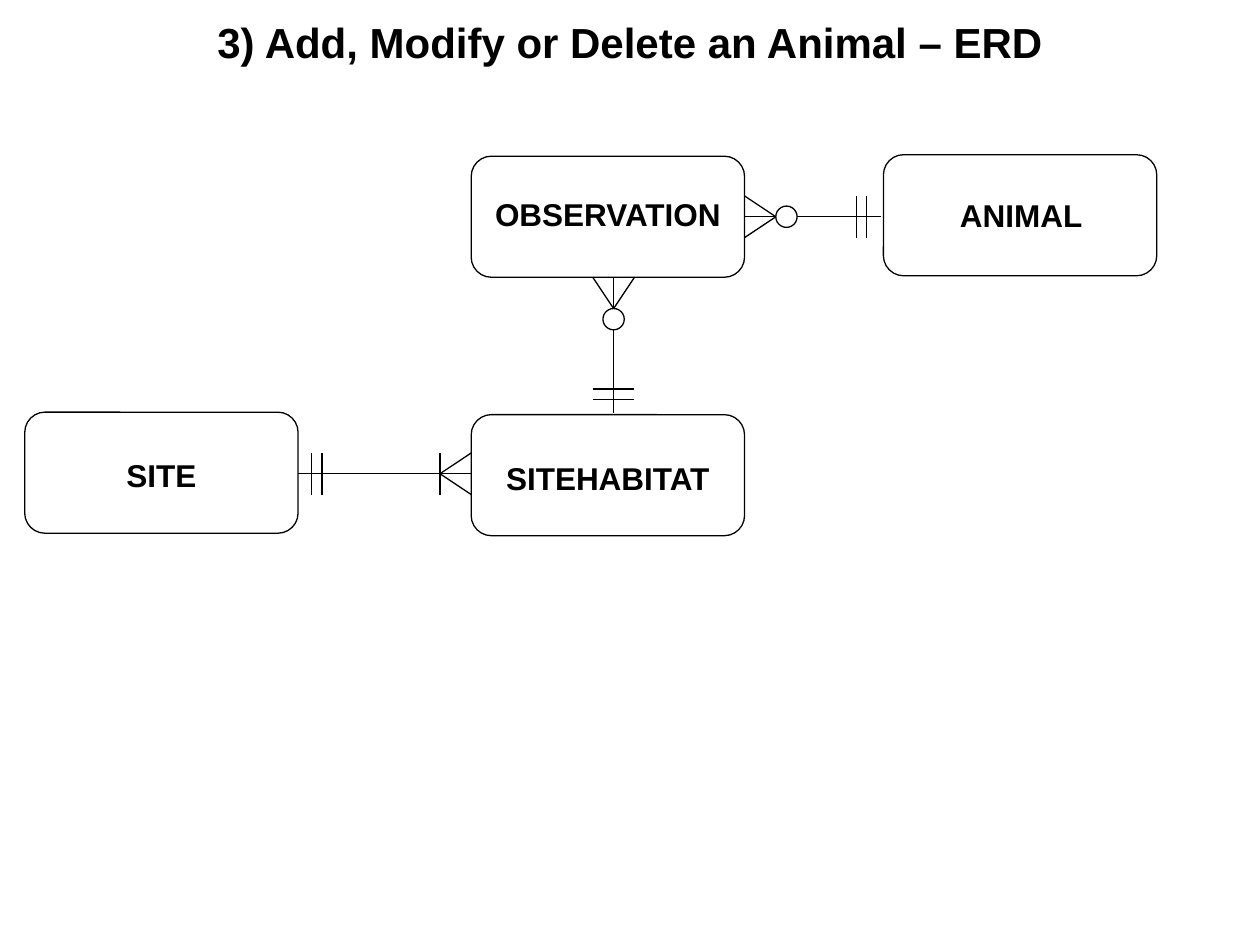
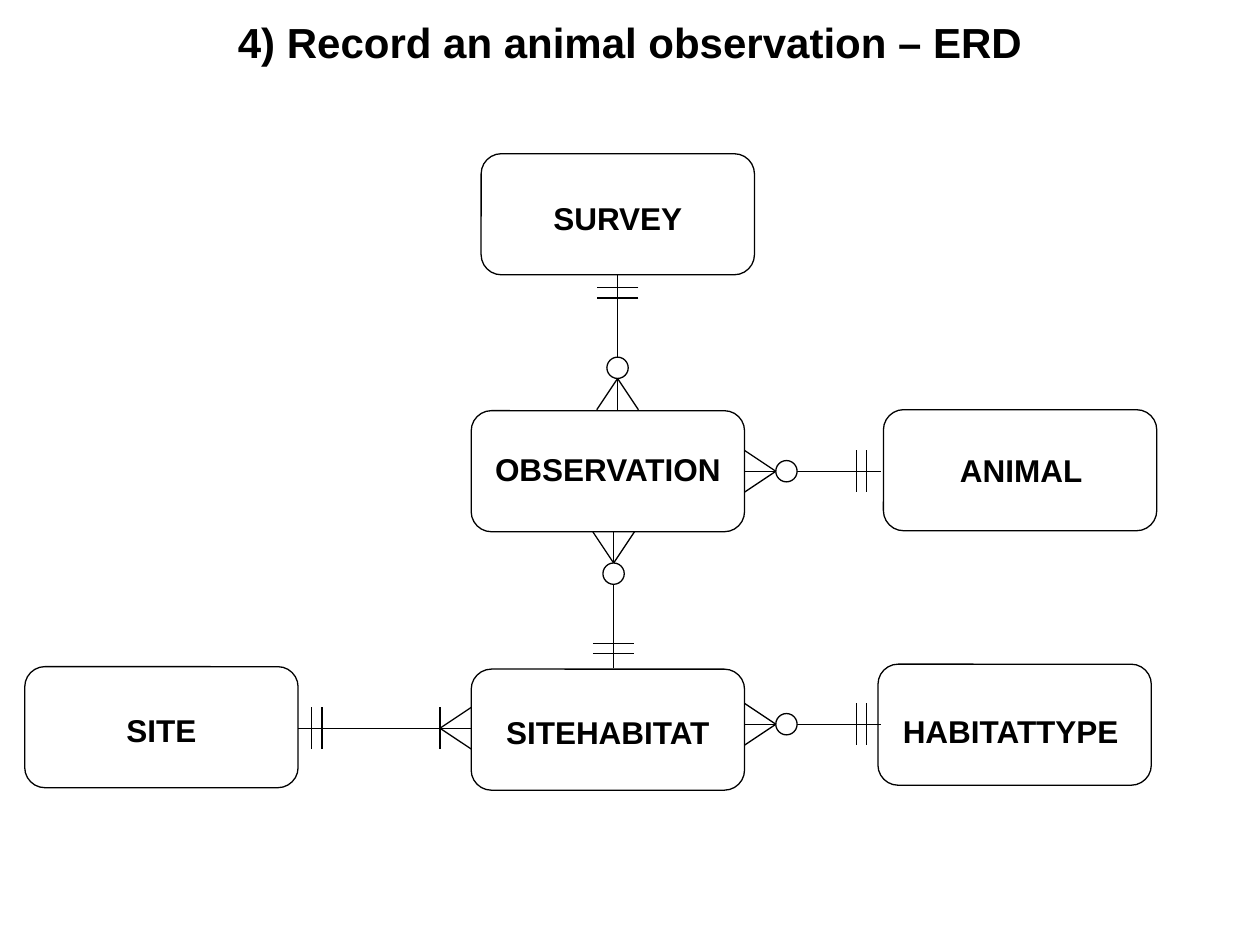
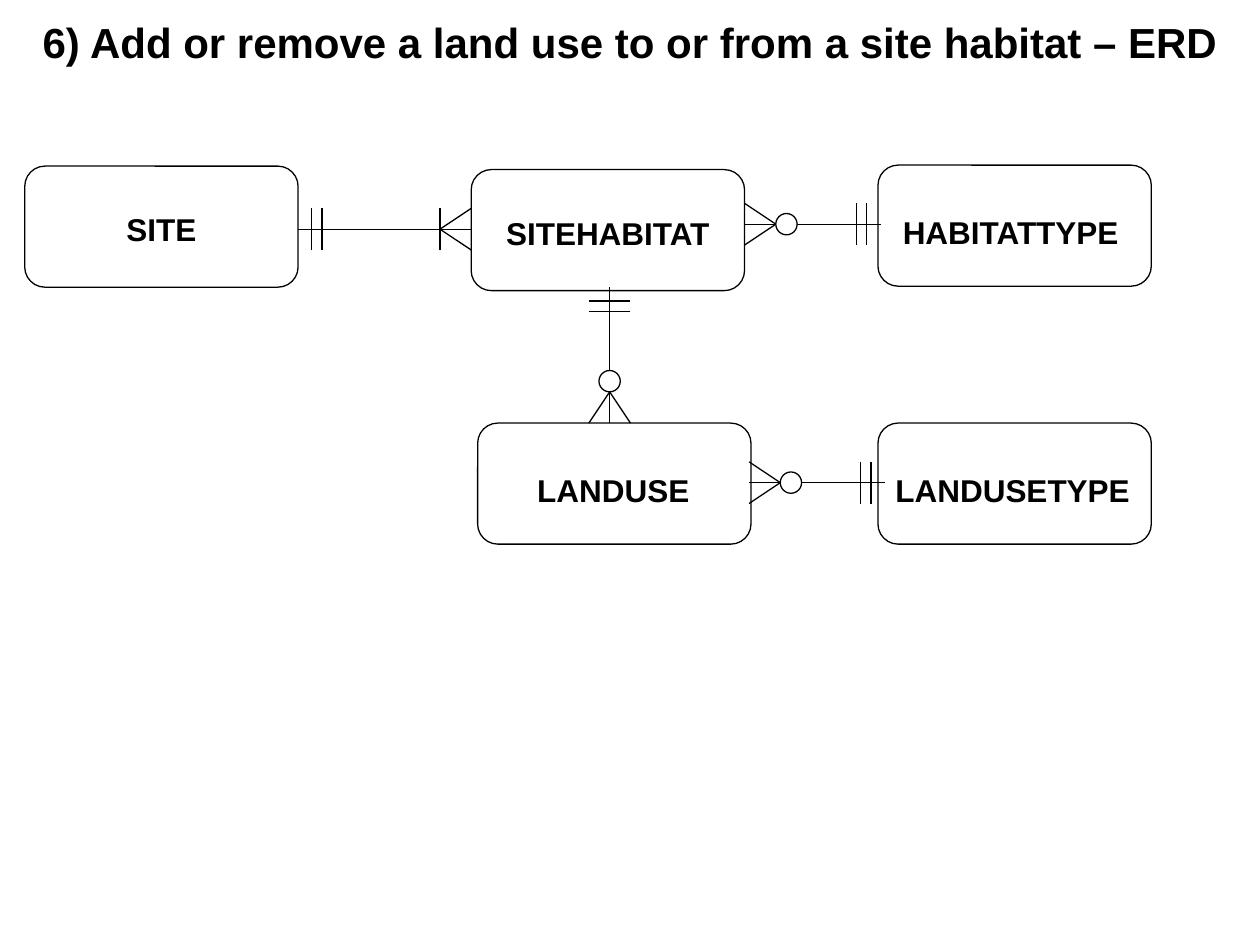
from dataclasses import dataclass

from lxml import etree
from pptx import Presentation
from pptx.dml.color import RGBColor
from pptx.enum import shapes, text
from pptx.oxml.ns import qn
from pptx.util import Cm, Pt


@dataclass(frozen=True)
class Theme:
    ink: RGBColor = RGBColor(0, 0, 0)
    paper: RGBColor = RGBColor(255, 255, 255)
    font: str = "Arial"
    title_size: Pt = Pt(24)
    label_size: Pt = Pt(18)
    line_width: Pt = Pt(0.75)


theme = Theme()

# Sizes in centimetres
BOX_W, BOX_H = 5.51, 2.44
LABEL_H = 1.02
FOOT, HALF = 0.63, 0.42  # crow's foot depth, half width of foot and bars
CIRCLE = 0.43
BARS = (0.28, 0.49)  # distance of the bars from the "one" end
LEFT, RIGHT, UP, DOWN = (-1, 0), (1, 0), (0, -1), (0, 1)

# Label offset from its box, and label width
LABELS = {
    "SITE": (0, 0.76, BOX_W),
    "SITEHABITAT": (0, 0.76, BOX_W),
    "OBSERVATION": (0, 0.66, BOX_W),
    "ANIMAL": (0.02, 0.71, BOX_W),
    "SURVEY": (0, 0.78, BOX_W),
    "LANDUSE": (0.08, 0.84, 5.31),
    "HABITATTYPE": (0.2, 0.84, 4.95),
    "LANDUSETYPE": (0.1, 0.84, 5.23),
}

# Title, entities (name, x, y), relationships ("many" end x, y, direction, optional)
SLIDES = [
    ("3) Add, Modify or Delete an Animal – ERD",
     [("SITE", 0.5, 8.31), ("SITEHABITAT", 9.5, 8.36),
      ("OBSERVATION", 9.5, 3.15), ("ANIMAL", 17.81, 3.12)],
     [(9.5, 9.55, LEFT, False), (12.37, 5.59, DOWN, True),
      (15.01, 4.37, RIGHT, True)]),
    ("4) Record an animal observation – ERD",
     [("HABITATTYPE", 17.7, 13.39), ("SITE", 0.5, 13.44),
      ("SITEHABITAT", 9.5, 13.49), ("OBSERVATION", 9.5, 8.28),
      ("ANIMAL", 17.81, 8.26), ("SURVEY", 9.7, 3.1)],
     [(9.5, 14.68, LEFT, False), (15.01, 14.6, RIGHT, True),
      (12.45, 8.26, UP, True), (12.37, 10.72, DOWN, True),
      (15.01, 9.5, RIGHT, True)]),
    ("6) Add or remove a land use to or from a site habitat – ERD",
     [("HABITATTYPE", 17.7, 3.33), ("LANDUSE", 9.63, 8.53),
      ("SITE", 0.5, 3.35), ("SITEHABITAT", 9.5, 3.42),
      ("LANDUSETYPE", 17.7, 8.53)],
     [(9.5, 4.62, LEFT, False), (15.01, 4.52, RIGHT, True),
      (15.1, 9.73, RIGHT, True), (12.29, 8.53, UP, True)]),
]


def write(shape, words, size):
    tf = shape.text_frame
    tf.text = words
    tf.auto_size = text.MSO_AUTO_SIZE.NONE
    tf.vertical_anchor = text.MSO_ANCHOR.TOP
    p = tf.paragraphs[0]
    p.alignment = text.PP_ALIGN.CENTER
    font = p.runs[0].font
    font.name, font.size, font.bold = theme.font, size, True
    font.color.rgb = theme.ink


def outline(shape):
    shape.fill.solid()
    shape.fill.fore_color.rgb = theme.paper
    shape.line.color.rgb = theme.ink
    shape.line.width = theme.line_width
    shape.shadow.inherit = False


prs = Presentation()
prs.slide_width, prs.slide_height = Cm(25.4), Cm(19.05)

for title, entities, relationships in SLIDES:
    s = prs.slides.add_slide(prs.slide_layouts[5])

    # Title
    sp = s.shapes.title
    sp.left, sp.top, sp.width, sp.height = Cm(0), Cm(0.2), Cm(25.4), Cm(1.27)
    write(sp, title, theme.title_size)

    # Entities
    for name, x, y in entities:
        box = s.shapes.add_shape(shapes.MSO_SHAPE.FLOWCHART_ALTERNATE_PROCESS,
                                 Cm(x), Cm(y), Cm(BOX_W), Cm(BOX_H))
        outline(box)
        dx, dy, width = LABELS[name]
        label = s.shapes.add_textbox(Cm(x + dx), Cm(y + dy), Cm(width), Cm(LABEL_H))
        label.text_frame.word_wrap = False
        write(label, name, theme.label_size)

    # Relationships, as (along, across) positions measured from the "many" end
    for x, y, (ax, ay), optional in relationships:
        length = 2.74 if optional else 3.5
        strokes = [((0, 0), (length, 0)),
                   ((0, -HALF), (FOOT, 0)),
                   ((0, HALF), (FOOT, 0))]
        bars = [length - gap for gap in BARS]
        if not optional:
            bars.append(FOOT)
        strokes += [((bar, -HALF), (bar, HALF)) for bar in bars]

        group = s.shapes.add_group_shape()
        for ends in strokes:
            points = [Cm(v) for along, across in ends
                      for v in (x + along * ax + across * ay,
                                y + along * ay + across * ax)]
            line = group.shapes.add_connector(shapes.MSO_CONNECTOR.STRAIGHT, *points)
            line.line.color.rgb = theme.ink
            line.line.width = theme.line_width
            etree.SubElement(line._element.spPr, qn("a:effectLst"))
        if optional:
            centre = FOOT + CIRCLE / 2
            circle = group.shapes.add_shape(
                shapes.MSO_SHAPE.OVAL,
                Cm(x + centre * ax - CIRCLE / 2), Cm(y + centre * ay - CIRCLE / 2),
                Cm(CIRCLE), Cm(CIRCLE))
            outline(circle)

prs.save("out.pptx")
